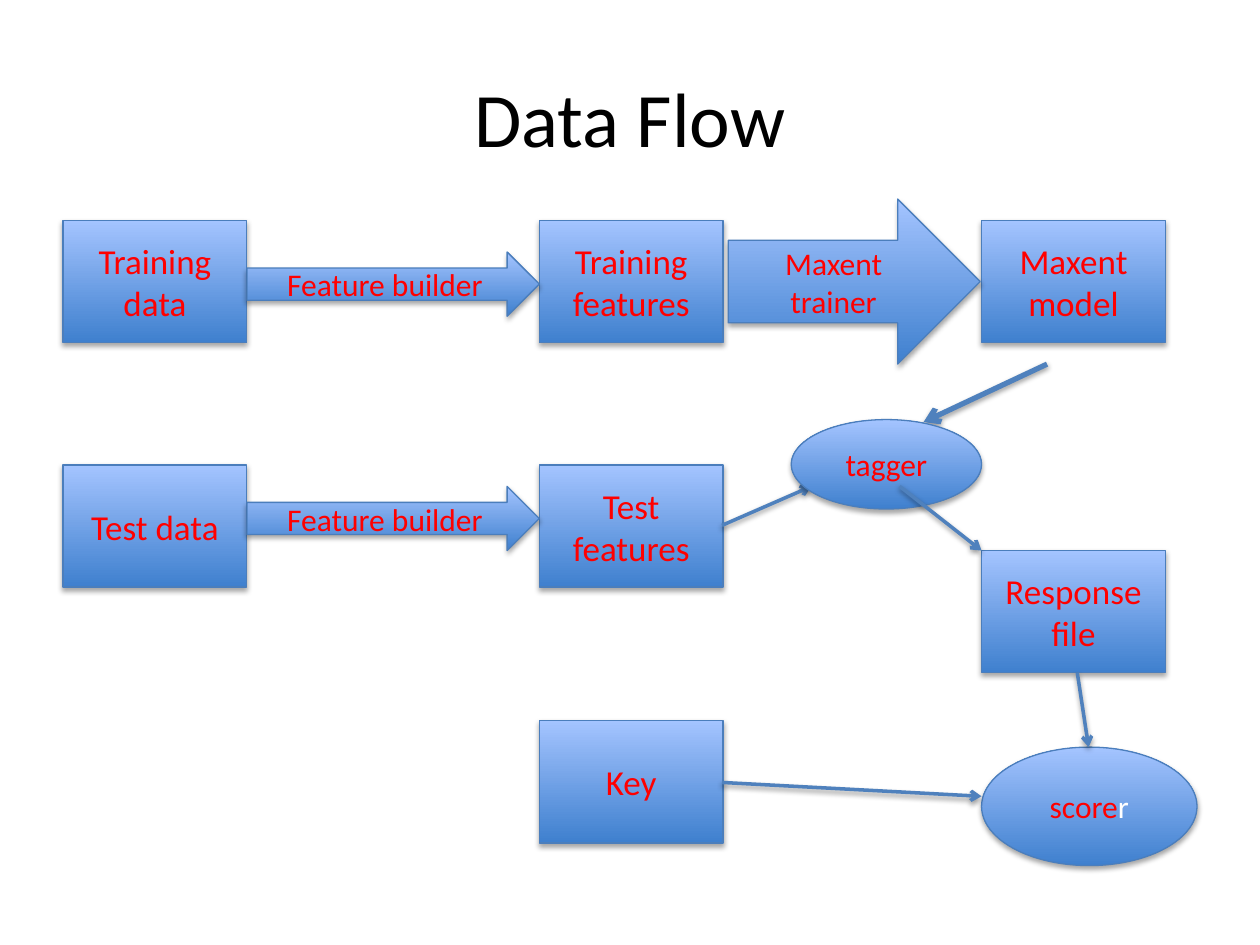
"""Build the Data Flow slide."""
from lxml import etree
from pptx import Presentation
from pptx.dml.color import RGBColor
from pptx.enum import shapes, text
from pptx.oxml import ns
from pptx.util import Inches, Pt

RED = RGBColor(0xFF, 0x00, 0x00)
WHITE = RGBColor(0xFF, 0xFF, 0xFF)
BLACK = RGBColor(0x00, 0x00, 0x00)
DARK = RGBColor(0x3F, 0x80, 0xCE)
LIGHT = RGBColor(0xA4, 0xC4, 0xFF)
EDGE = RGBColor(0x4B, 0x7E, 0xBC)
ARROW = RGBColor(0x4F, 0x81, 0xBD)
RECT = shapes.MSO_SHAPE.RECTANGLE
BLOCK = shapes.MSO_SHAPE.RIGHT_ARROW
OVAL = shapes.MSO_SHAPE.OVAL
LEFT, MID, RIGHT = 0.5, 4.28, 7.79
BOX_W, BOX_H = 1.46, 0.97


def add_shadow(shape, dist, alpha):
    shape._element.spPr.append(etree.fromstring(
        f'<a:effectLst {ns.nsdecls("a")}>'
        f'<a:outerShdw blurRad="{Pt(3.1)}" dist="{Pt(dist)}" dir="5400000" rotWithShape="0">'
        f'<a:srgbClr val="000000"><a:alpha val="{alpha * 1000}"/></a:srgbClr>'
        '</a:outerShdw></a:effectLst>'))


def style_text(tf, size, color):
    tf.word_wrap = True
    tf.vertical_anchor = text.MSO_ANCHOR.MIDDLE
    for p in tf.paragraphs:
        p.alignment = text.PP_ALIGN.CENTER
        for r in p.runs:
            for name, value in {"name": "Calibri", "size": Pt(size)}.items():
                setattr(r.font, name, value)
            r.font.color.rgb = color


prs = Presentation()
prs.slide_width, prs.slide_height = Inches(10), Inches(7.5)
s = prs.slides.add_slide(prs.slide_layouts[5])

title = s.shapes.title
title.left, title.top, title.width, title.height = map(Inches, (0.5, 0.3, 9, 1.25))
title.text_frame.text = "Data Flow"
style_text(title.text_frame, 44, BLACK)

boxes = [
    ("Training data", LEFT, 1.75),
    ("Maxent model", RIGHT, 1.75),
    ("Training features", MID, 1.75),
    ("Response file", RIGHT, 4.37),
    ("Key", MID, 5.72),
    ("Test\nfeatures", MID, 3.69),
    ("Test data", LEFT, 3.69),
]
nodes = [(RECT, label, x, y, BOX_W, BOX_H, 20) for label, x, y in boxes]
nodes += [
    (BLOCK, "Feature builder", 1.96, 2, 2.32, 0.51, 18),
    (BLOCK, "Feature builder", 1.96, 3.86, 2.32, 0.51, 18),
    (BLOCK, "Maxent trainer", 5.78, 1.58, 2, 1.31, 18),
    (OVAL, "tagger", 6.28, 3.33, 1.51, 0.71, 18),
    (OVAL, "score", RIGHT, 5.93, 1.71, 0.94, 18),
]
links = [
    (5.73, 4.17, 6.44, 3.86, 2),
    (8.31, 2.89, 7.33, 3.35, 3),
    (7.14, 3.86, 7.79, 4.37, 2),
    (5.73, 6.21, 7.79, 6.32, 2),
    (8.55, 5.34, 8.64, 5.93, 2),
]

for item in nodes[:10] + links[:2] + nodes[10:] + links[2:]:
    if item in links:
        *ends, weight = item
        line = s.shapes.add_connector(shapes.MSO_CONNECTOR.STRAIGHT, *map(Inches, ends))
        line.line.color.rgb = ARROW
        line.line.width = Pt(weight)
        ln = line._element.spPr.find(ns.qn("a:ln"))
        etree.SubElement(ln, ns.qn("a:tailEnd"), type="arrow")
        add_shadow(line, 1.6, 38)
        continue
    kind, label, x, y, w, h, size = item
    sp = s.shapes.add_shape(kind, *map(Inches, (x, y, w, h)))
    sp.fill.gradient()
    sp.fill.gradient_angle = 90
    for stop, color in zip(sp.fill.gradient_stops, (DARK, LIGHT)):
        stop.color.rgb = color
    sp.line.color.rgb = EDGE
    sp.line.width = Pt(0.75)
    add_shadow(sp, 1.8, 35)
    tf = sp.text_frame
    tf.text = label
    if label == "score":
        tf.paragraphs[0].add_run().text = "r"
    style_text(tf, size, RED)
    if label == "score":
        tf.paragraphs[0].runs[1].font.color.rgb = WHITE

prs.save("out.pptx")
